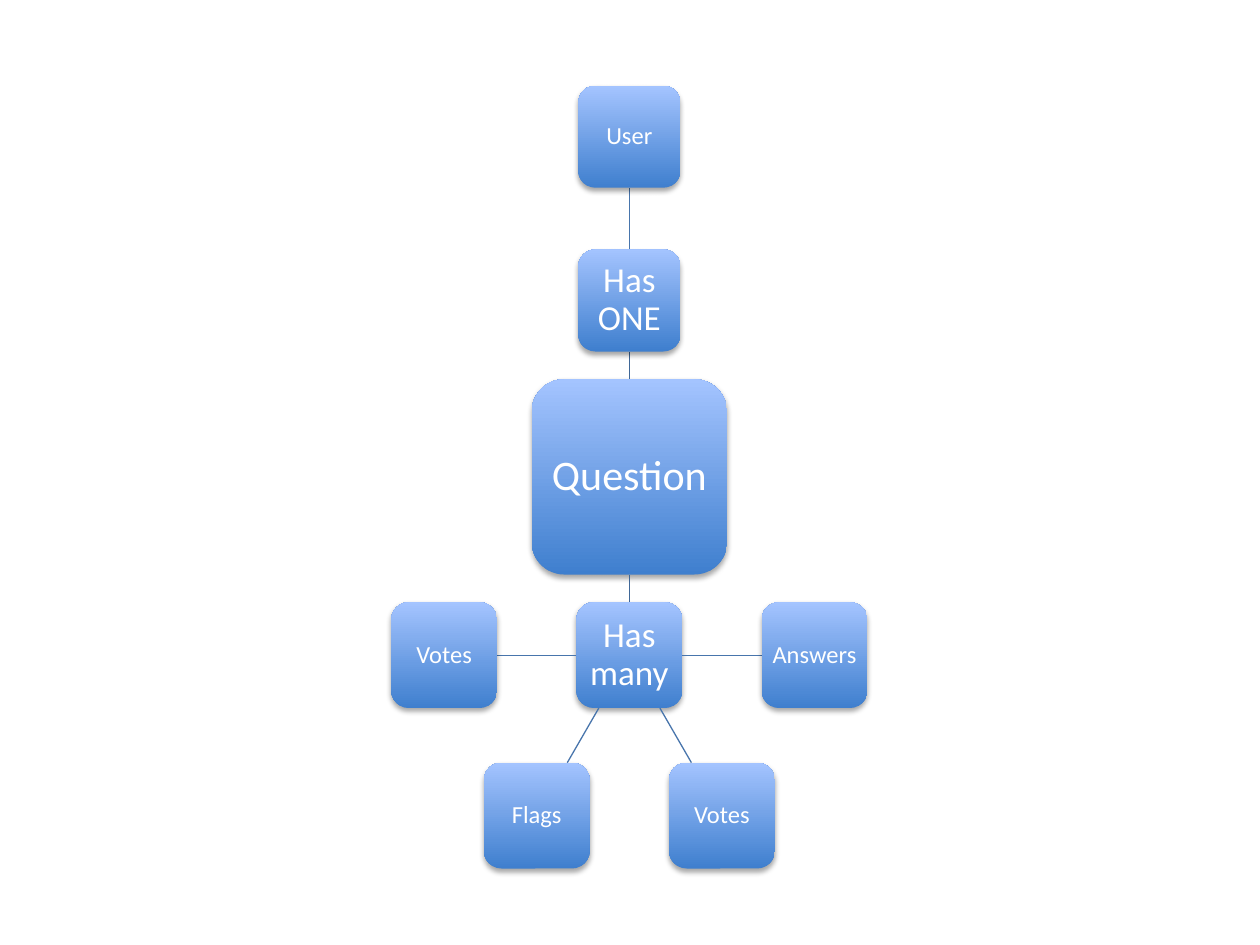
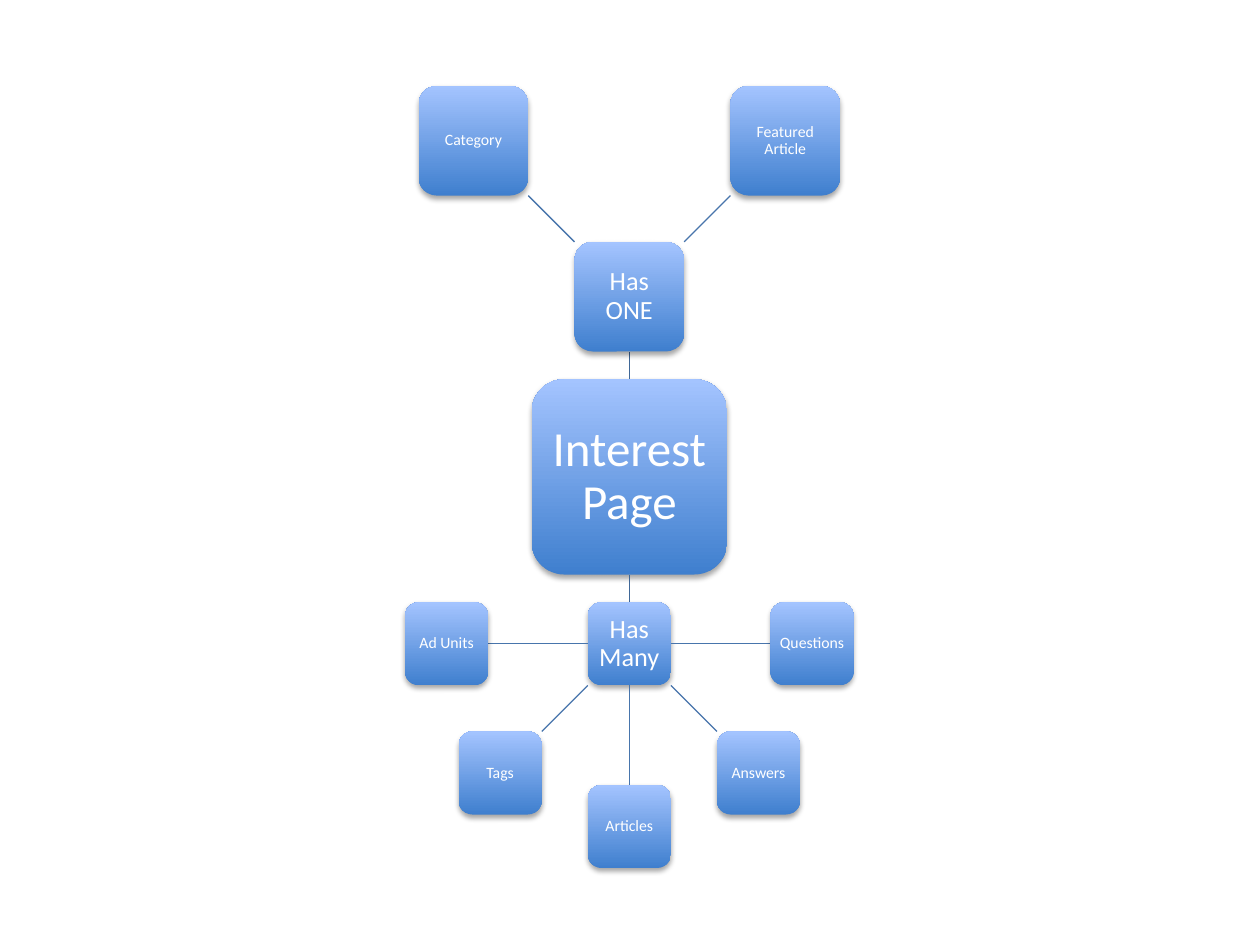
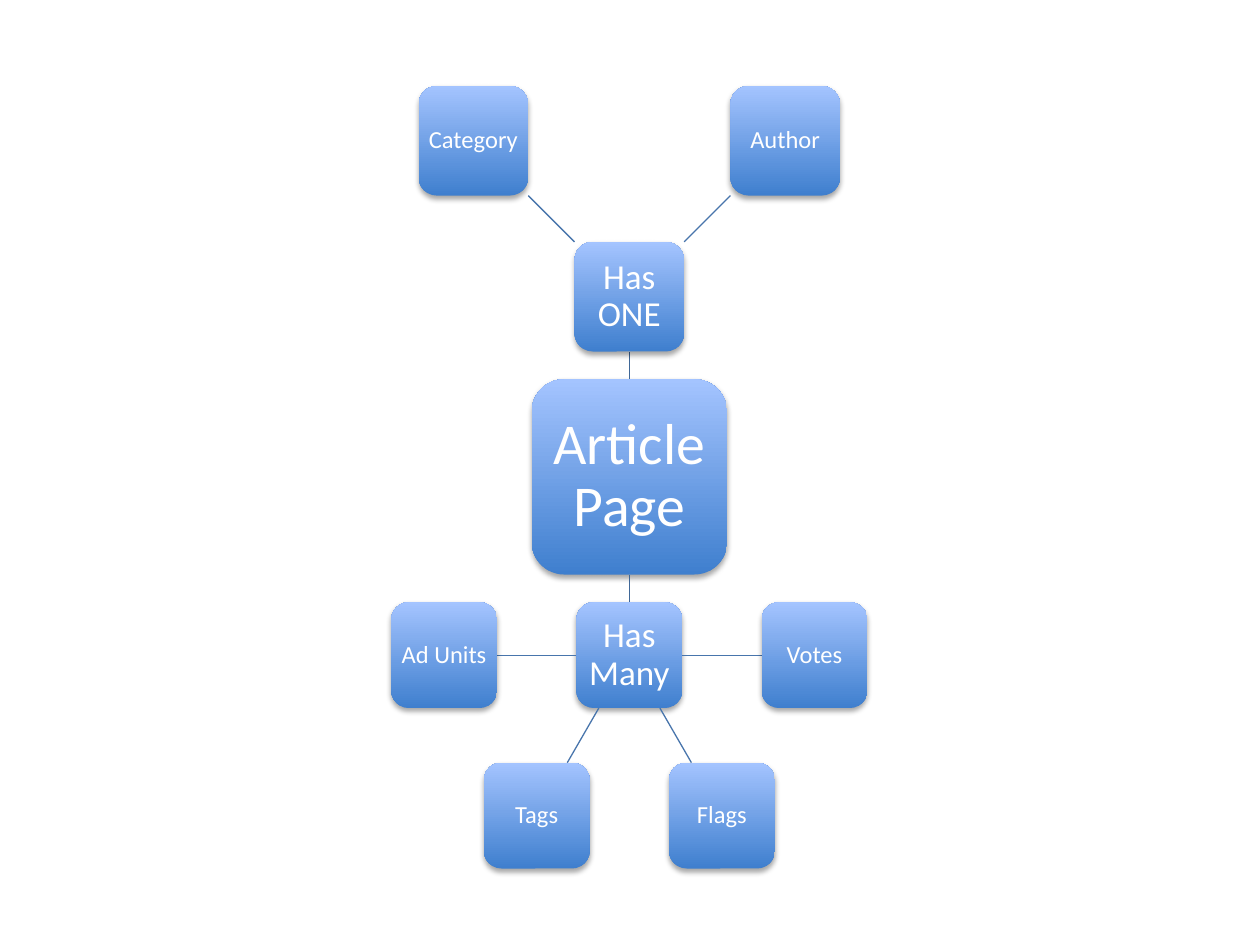
from dataclasses import dataclass
from math import cos, radians, sin

from lxml import etree
from pptx import Presentation
from pptx.dml.color import RGBColor
from pptx.enum.shapes import MSO_CONNECTOR, MSO_SHAPE
from pptx.enum.text import MSO_ANCHOR, PP_ALIGN
from pptx.oxml.ns import qn
from pptx.slide import Slide
from pptx.util import Inches, Pt

ROUNDED = MSO_SHAPE.ROUNDED_RECTANGLE
STRAIGHT = MSO_CONNECTOR.STRAIGHT
MIDDLE = MSO_ANCHOR.MIDDLE
CENTER = PP_ALIGN.CENTER

SLIDE_WIDTH = Inches(10)
SLIDE_HEIGHT = Inches(7.5)
GRID_COLUMNS = 100
CELL = SLIDE_WIDTH / GRID_COLUMNS
BLANK_LAYOUT = 6

HUB_COLUMN = 49.95
HUB_ROW = 37.85
HUB_SIDE = 15.5
HUB_GAP = 2.2
UP, DOWN = -1, 1


@dataclass(frozen=True)
class Theme:
    font: str = "Calibri"
    text: RGBColor = RGBColor(0xFF, 0xFF, 0xFF)
    fill_bottom: RGBColor = RGBColor(0x3F, 0x7F, 0xCE)
    fill_top: RGBColor = RGBColor(0xA4, 0xC4, 0xFF)
    hub_line: RGBColor = RGBColor(0x3F, 0x67, 0x97)
    leaf_line: RGBColor = RGBColor(0x48, 0x75, 0xAC)
    line_width: float = 0.75
    line_spacing: float = 0.9
    space_after_percent: int = 35
    inset_share: float = 0.2
    shadow_color: str = "000000"
    shadow_percent: int = 35
    shadow_blur: float = 3.1
    shadow_distance: float = 1.8
    shadow_angle: int = 90


@dataclass(frozen=True)
class Sizes:
    hub: int
    branch: int
    leaf: int


@dataclass(frozen=True)
class Point:
    column: float
    row: float

    def toward(self, angle: float, distance: float) -> "Point":
        return Point(
            self.column + distance * cos(radians(angle)),
            self.row + distance * sin(radians(angle)),
        )


@dataclass(frozen=True)
class Ring:
    direction: int
    side: float
    radius: float
    first_angle: float
    step: float


@dataclass(frozen=True)
class Branch:
    label: str
    ring: Ring
    leaves: tuple[str, ...]


@dataclass(frozen=True)
class Diagram:
    label: str
    sizes: Sizes
    branches: tuple[Branch, ...]


THEME = Theme()
HUB = Point(HUB_COLUMN, HUB_ROW)

TOP_SINGLE = Ring(UP, 8.1, 13, 270, 0)
TOP_PAIR = Ring(UP, 8.7, 17.5, 225, 90)
BOTTOM_FOUR = Ring(DOWN, 8.4, 14.7, 0, 60)
BOTTOM_FIVE = Ring(DOWN, 6.6, 14.5, 0, 45)

DIAGRAMS = (
    Diagram("Question", Sizes(24, 20, 14), (
        Branch("Has ONE", TOP_SINGLE, ("User",)),
        Branch("Has many", BOTTOM_FOUR, ("Answers", "Votes", "Flags", "Votes")),
    )),
    Diagram("Interest Page", Sizes(28, 15, 9), (
        Branch("Has ONE", TOP_PAIR, ("Category", "Featured Article")),
        Branch("Has Many", BOTTOM_FIVE,
               ("Questions", "Answers", "Articles", "Tags", "Ad Units")),
    )),
    Diagram("Article Page", Sizes(33, 20, 14), (
        Branch("Has ONE", TOP_PAIR, ("Category", "Author")),
        Branch("Has Many", BOTTOM_FOUR, ("Votes", "Flags", "Tags", "Ad Units")),
    )),
)


def grid(cells: float) -> int:
    return round(cells * CELL)


def edge_distance(side: float, angle: float) -> float:
    return side / 2 / max(abs(cos(radians(angle))), abs(sin(radians(angle))))


def add_soft_shadow(shape) -> None:
    shape.shadow.inherit = False
    effects = shape._element.spPr.find(qn("a:effectLst"))
    shadow = etree.SubElement(
        effects, qn("a:outerShdw"),
        blurRad=str(int(Pt(THEME.shadow_blur))),
        dist=str(int(Pt(THEME.shadow_distance))),
        dir=str(THEME.shadow_angle * 60000), rotWithShape="0",
    )
    color = etree.SubElement(shadow, qn("a:srgbClr"), val=THEME.shadow_color)
    etree.SubElement(color, qn("a:alpha"), val=str(THEME.shadow_percent * 1000))


def add_box(slide: Slide, center: Point, side: float, label: str, size: int) -> None:
    shape = slide.shapes.add_shape(
        ROUNDED, grid(center.column - side / 2), grid(center.row - side / 2),
        grid(side), grid(side),
    )
    shape.fill.gradient()
    shape.fill.gradient_angle = 90
    for stop, color in zip(shape.fill.gradient_stops, (THEME.fill_bottom, THEME.fill_top)):
        stop.color.rgb = color
    shape.line.fill.background()
    add_soft_shadow(shape)

    text_frame = shape.text_frame
    text_frame.text = label
    text_frame.word_wrap = True
    text_frame.vertical_anchor = MIDDLE
    inset = Pt(size * THEME.inset_share)
    text_frame.margin_left = text_frame.margin_right = inset
    text_frame.margin_top = text_frame.margin_bottom = inset
    paragraph = text_frame.paragraphs[0]
    paragraph.alignment = CENTER
    paragraph.line_spacing = THEME.line_spacing
    spacing = etree.SubElement(paragraph._p.get_or_add_pPr(), qn("a:spcAft"))
    etree.SubElement(spacing, qn("a:spcPct"), val=str(THEME.space_after_percent * 1000))
    font = paragraph.runs[0].font
    font.name = THEME.font
    font.size = Pt(size)
    font.color.rgb = THEME.text


def add_line(slide: Slide, start: Point, end: Point, color: RGBColor) -> None:
    connector = slide.shapes.add_connector(
        STRAIGHT, grid(start.column), grid(start.row), grid(end.column), grid(end.row)
    )
    connector.line.color.rgb = color
    connector.line.width = Pt(THEME.line_width)
    etree.SubElement(connector._element.spPr, qn("a:effectLst"))


def draw_branch(slide: Slide, branch: Branch, sizes: Sizes) -> None:
    ring = branch.ring
    hub_edge = Point(HUB.column, HUB.row + ring.direction * HUB_SIDE / 2)
    branch_edge = Point(HUB.column, hub_edge.row + ring.direction * HUB_GAP)
    center = Point(HUB.column, branch_edge.row + ring.direction * ring.side / 2)
    add_line(slide, hub_edge, branch_edge, THEME.hub_line)
    add_box(slide, center, ring.side, branch.label, sizes.branch)
    for index, label in enumerate(branch.leaves):
        angle = ring.first_angle + index * ring.step
        edge = edge_distance(ring.side, angle)
        add_line(
            slide, center.toward(angle, edge),
            center.toward(angle, ring.radius - edge), THEME.leaf_line,
        )
        add_box(slide, center.toward(angle, ring.radius), ring.side, label, sizes.leaf)


def draw_diagram(slide: Slide, diagram: Diagram) -> None:
    add_box(slide, HUB, HUB_SIDE, diagram.label, diagram.sizes.hub)
    for branch in diagram.branches:
        draw_branch(slide, branch, diagram.sizes)


def main() -> None:
    presentation = Presentation()
    presentation.slide_width = SLIDE_WIDTH
    presentation.slide_height = SLIDE_HEIGHT
    for diagram in DIAGRAMS:
        slide = presentation.slides.add_slide(presentation.slide_layouts[BLANK_LAYOUT])
        draw_diagram(slide, diagram)
    presentation.save("out.pptx")


main()
